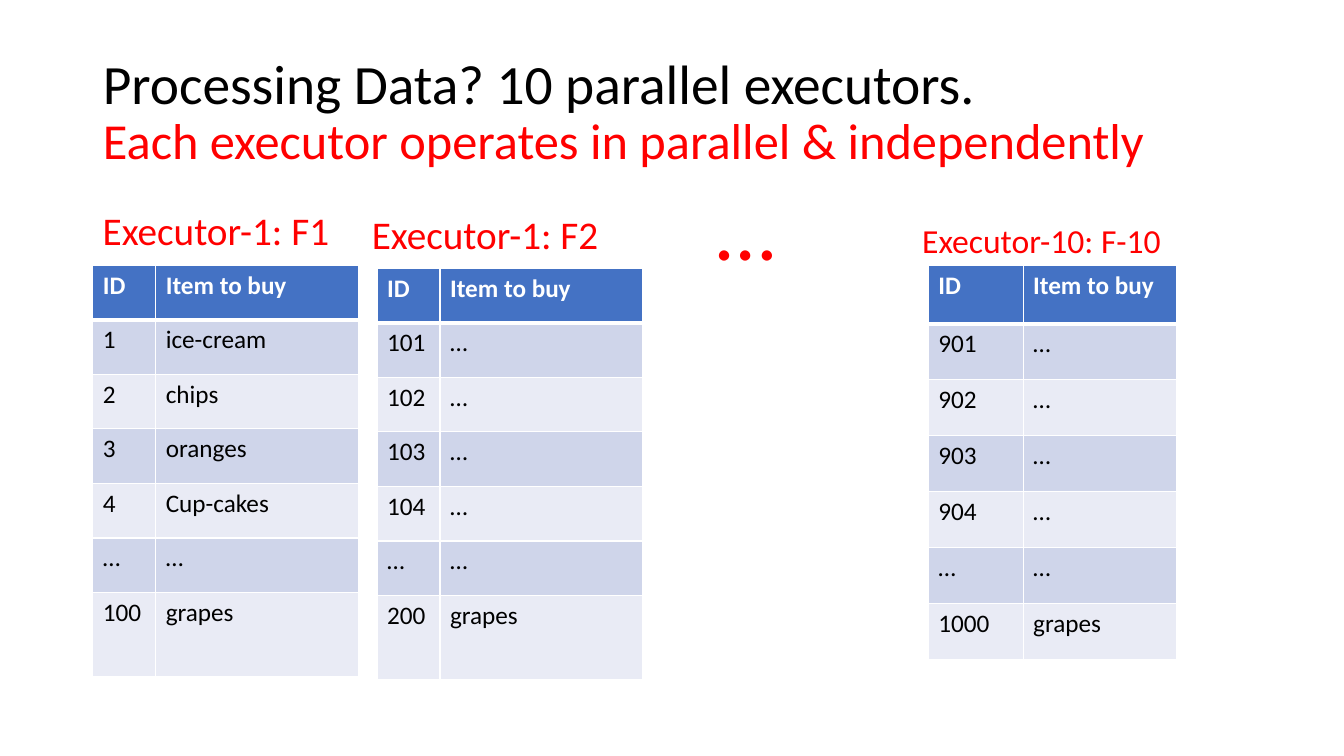
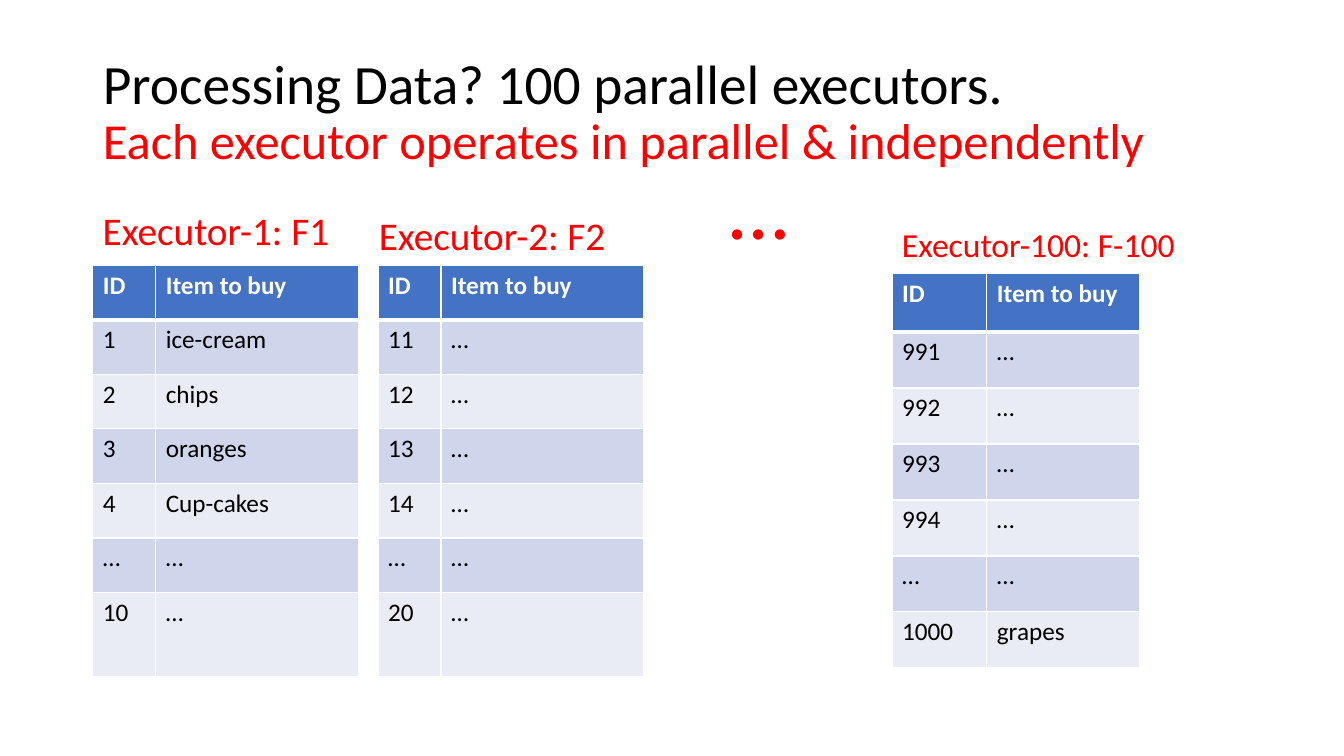
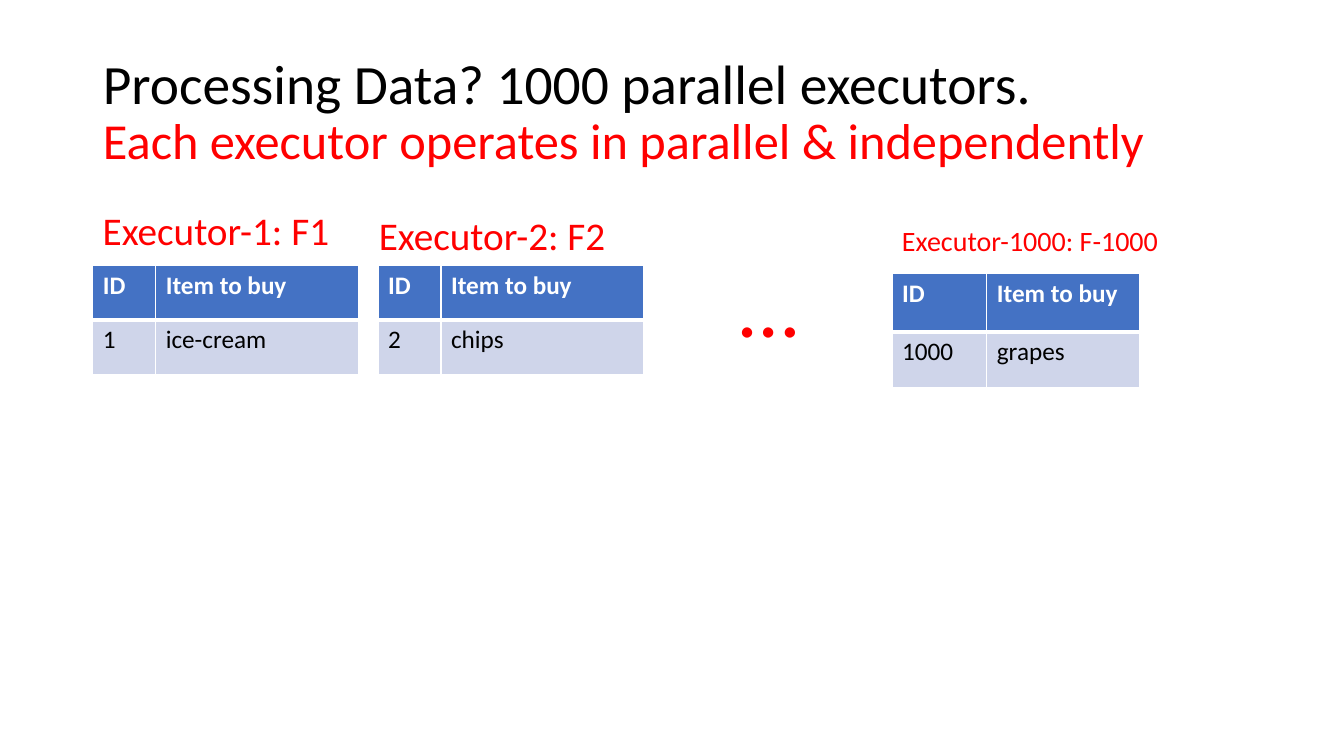
"""Build three slides on splitting shopping data among parallel executors."""
from lxml import etree
from pptx import Presentation
from pptx.dml import color
from pptx.enum import text
from pptx.oxml import ns
from pptx.util import Pt

LEFT = 66.24
TABLE_TOP = 189.36
LABEL_SIZE = (190, 45.36)
SUBTITLE = "Each executor operates in parallel & independently"


def rgb(value):
    """Return the colour for a hex string."""
    return color.RGBColor.from_string(value)


class Deck:
    """Hold the shared style and the current slide."""

    FONT = "Calibri"
    BLACK, WHITE, RED = "000000", "FFFFFF", "FF0000"
    HEADER, BANDS = "4472C4", ("CFD5EA", "E9EBF5")
    HEADINGS = ("ID", "Item to buy")
    WIDE = {"columns": (45, 145), "header": 39, "row": 39}
    NARROW = {"columns": (67.7, 109.4), "header": 42, "row": 40}

    def __init__(self):
        """Start a widescreen presentation."""
        self.presentation = Presentation()
        self.presentation.slide_width = Pt(960)
        self.presentation.slide_height = Pt(540)
        self.slide = None

    def add_run(self, paragraph, words, size, colour, bold=False):
        """Add one formatted run to a paragraph."""
        run = paragraph.add_run()
        run.text = words
        run.font.name = self.FONT
        run.font.size = Pt(size)
        run.font.bold = bold
        run.font.color.rgb = rgb(colour)

    def add_slide(self, heading):
        """Add a slide with the two-line title."""
        layout = self.presentation.slide_layouts[5]
        self.slide = self.presentation.slides.add_slide(layout)
        title = self.slide.shapes.title
        title.left, title.top = Pt(LEFT), Pt(28.8)
        title.width, title.height = Pt(828), Pt(104.4)
        frame = title.text_frame
        frame.auto_size = text.MSO_AUTO_SIZE.NONE
        frame.vertical_anchor = text.MSO_ANCHOR.MIDDLE
        paragraph = frame.paragraphs[0]
        paragraph.alignment = text.PP_ALIGN.LEFT
        paragraph.line_spacing = 0.9
        self.add_run(paragraph, heading, 39.6, self.BLACK)
        paragraph.add_line_break()
        self.add_run(paragraph, SUBTITLE, 36, self.RED)

    def add_label(self, words, left, top, width, height, size=28,
                  spacing=0.9, anchor=text.MSO_ANCHOR.MIDDLE):
        """Add a red text label."""
        box = self.slide.shapes.add_textbox(Pt(left), Pt(top), Pt(width), Pt(height))
        frame = box.text_frame
        frame.word_wrap = True
        frame.vertical_anchor = anchor
        paragraph = frame.paragraphs[0]
        paragraph.line_spacing = spacing
        self.add_run(paragraph, words, size, self.RED)

    def add_last_label(self, words, left, top, width, size):
        """Add the smaller, top-anchored label of the last executor."""
        self.add_label(words, left, top, width, 36, size, 1, text.MSO_ANCHOR.TOP)

    def add_ellipsis(self, left, top, width=190):
        """Add the large dots between executors."""
        self.add_label("…", left, top, width, 71.28, 61, 0.8)

    def add_borders(self, cell, top, bottom):
        """Give a cell white borders of the given top and bottom widths."""
        properties = cell._tc.get_or_add_tcPr()
        for side, width in (("L", 1), ("R", 1), ("T", top), ("B", bottom)):
            line = etree.SubElement(properties, ns.qn(f"a:ln{side}"), w=str(Pt(width)))
            fill = etree.SubElement(line, ns.qn("a:solidFill"))
            etree.SubElement(fill, ns.qn("a:srgbClr"), val=self.WHITE)

    def add_table(self, left, top, items, style, last_height=None):
        """Add a banded table of numbered items."""
        rows = [self.HEADINGS, *items]
        heights = [style["header"]] + [style["row"]] * len(items)
        heights[-1] = last_height or heights[-1]
        columns = style["columns"]
        table = self.slide.shapes.add_table(
            len(rows), len(columns), Pt(left), Pt(top),
            Pt(sum(columns)), Pt(sum(heights))).table
        for column, width in zip(table.columns, columns):
            column.width = Pt(width)
        for index, (row, height) in enumerate(zip(rows, heights)):
            table.rows[index].height = Pt(height)
            header = index == 0
            fill = self.HEADER if header else self.BANDS[(index - 1) % 2]
            for position, words in enumerate(row):
                cell = table.cell(index, position)
                self.add_borders(cell, 3 if index == 1 else 1, 3 if header else 1)
                cell.fill.solid()
                cell.fill.fore_color.rgb = rgb(fill)
                self.add_run(cell.text_frame.paragraphs[0], words, 18,
                             self.WHITE if header else self.BLACK, header)


def sample(first, last, names=("…",) * 4, last_name="grapes"):
    """Return four leading items, an ellipsis row and the last item."""
    leading = [(str(first + offset), name) for offset, name in enumerate(names)]
    return leading + [("…", "…"), (str(last), last_name)]


def main():
    """Build and save the slides."""
    deck = Deck()
    groceries = ("ice-cream", "chips", "oranges", "Cup-cakes")
    slides = [
        {"count": 10,
         "first": sample(1, 100, groceries),
         "second": sample(101, 200),
         "second_table": (269.28, 191.52),
         "second_label": ("Executor-1: F2", 258.48, 146.16),
         "last": sample(901, 1000),
         "last_table": (663.12, 189.36),
         "last_label": ("Executor-10: F-10", 651.6, 153.36, 200.16, 24),
         "ellipsis": (504.72, 133.2, 82.08),
         "last_height": 59.76},
        {"count": 100,
         "first": sample(1, 10, groceries, "…"),
         "second": sample(11, 20, last_name="…"),
         "last": sample(991, 1000),
         "last_label": ("Executor-100: F-100", 637.2, 156.24, 249.12, 24),
         "ellipsis": (514.08, 118.08),
         "last_height": 59.76},
        {"count": 1000,
         "first": [("1", "ice-cream")],
         "second": [("2", "chips")],
         "last": [("1000", "grapes")],
         "last_label": ("Executor-1000: F-1000", 637.2, 156.24, 199.44, 20),
         "ellipsis": (521.28, 187.92)},
    ]
    for content in slides:
        last_height = content.get("last_height")
        deck.add_slide(f"Processing Data? {content['count']} parallel executors. ")
        deck.add_label("Executor-1: F1", LEFT, 143.28, *LABEL_SIZE)
        deck.add_table(LEFT, TABLE_TOP, content["first"], deck.WIDE, last_height)
        second_label = content.get("second_label", ("Executor-2: F2", 263.52, 146.88))
        deck.add_label(*second_label, *LABEL_SIZE)
        second_table = content.get("second_table", (270, TABLE_TOP))
        deck.add_table(*second_table, content["second"], deck.WIDE, last_height)
        deck.add_ellipsis(*content["ellipsis"])
        deck.add_last_label(*content["last_label"])
        last_table = content.get("last_table", (637.2, 195.12))
        deck.add_table(*last_table, content["last"], deck.NARROW)
    deck.presentation.save("out.pptx")


if __name__ == "__main__":
    main()
